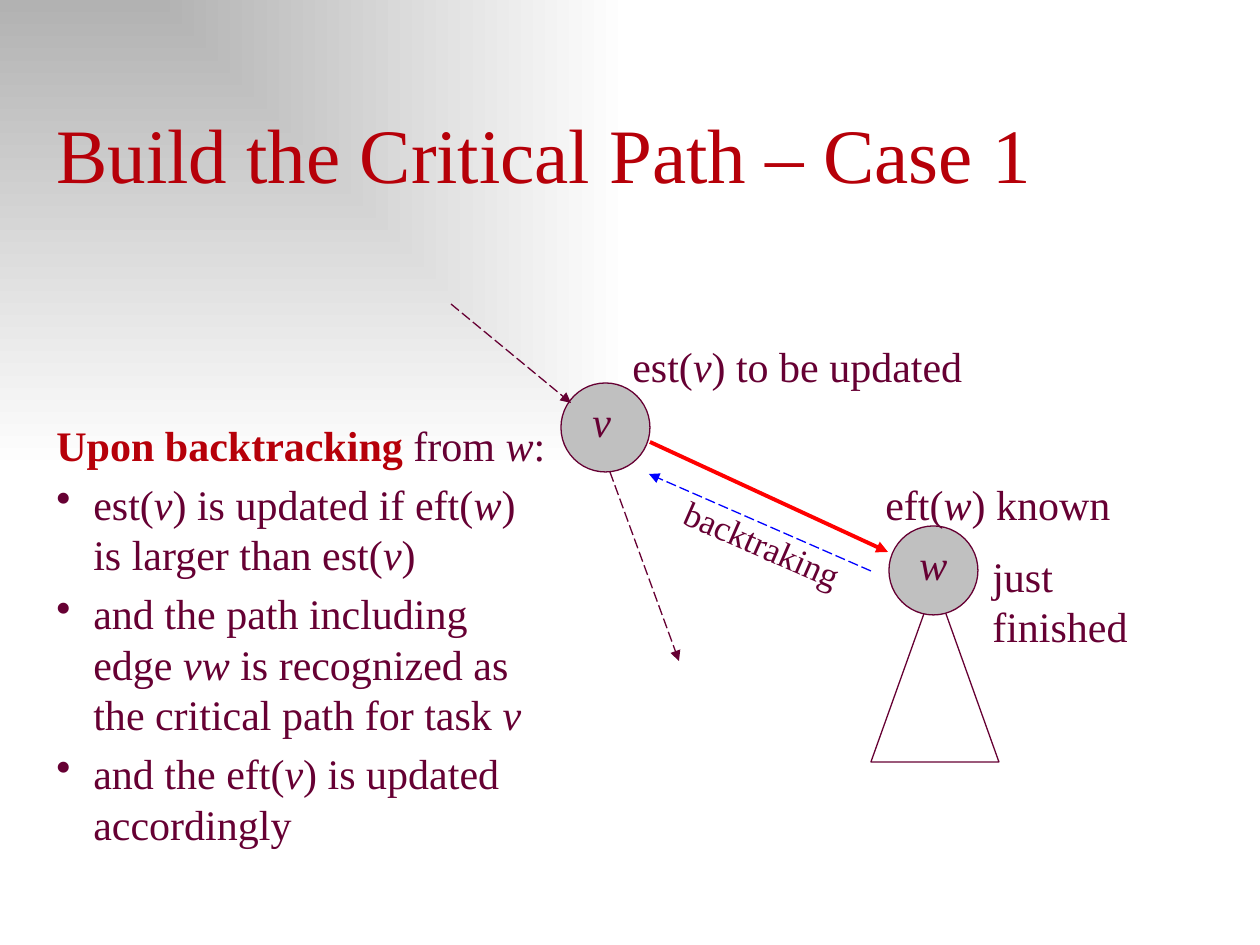
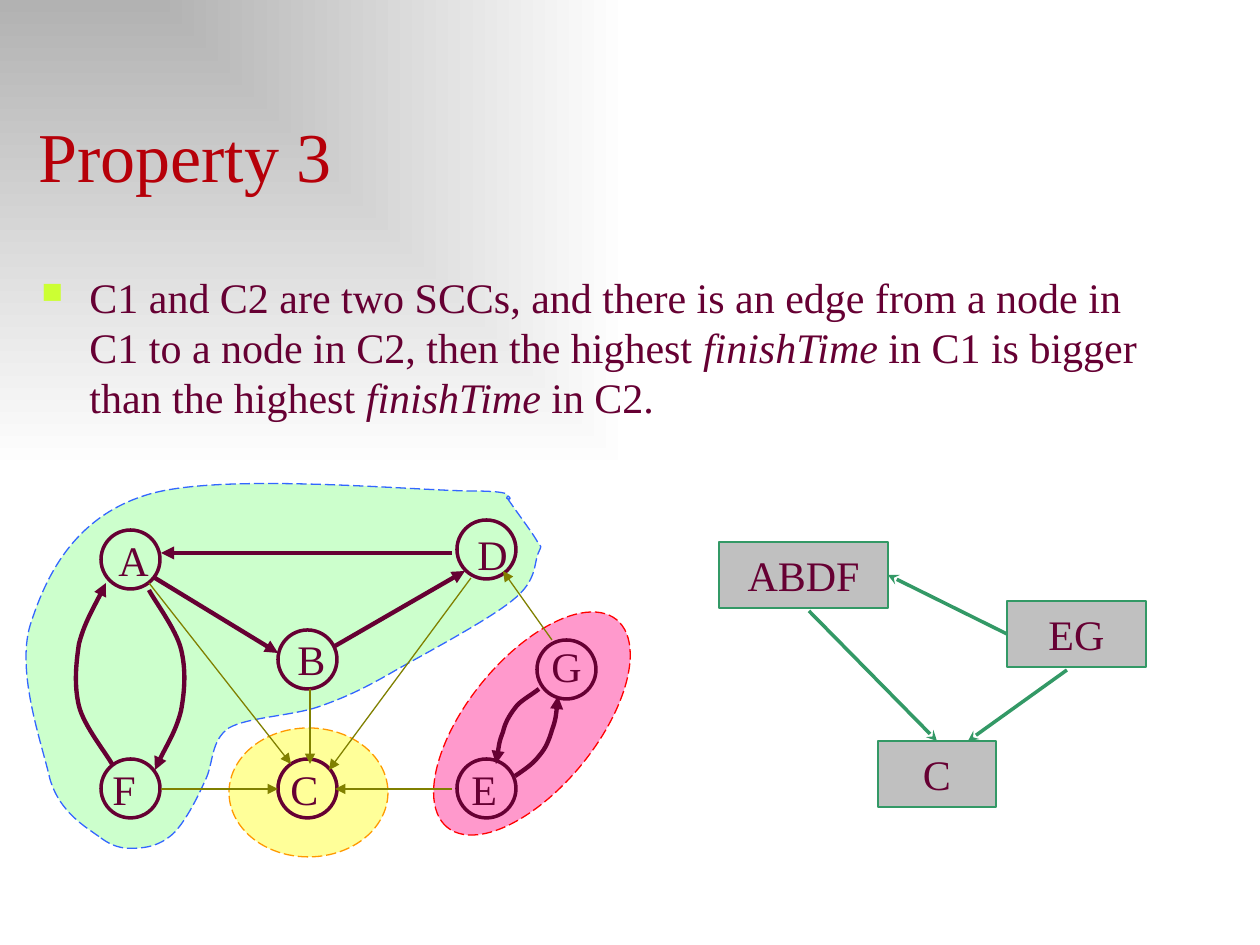
import lxml.etree
import pptx
import pptx.dml.color
import pptx.enum.dml
import pptx.enum.shapes
import pptx.enum.text
import pptx.oxml.ns
import pptx.util

px = 7257  # EMU per px, 126 px to the inch
qn = pptx.oxml.ns.qn
rgb = pptx.dml.color.RGBColor.from_string
shape_type = pptx.enum.shapes.MSO_SHAPE
straight = pptx.enum.shapes.MSO_CONNECTOR.STRAIGHT

PLUM, RED, GREY = "660033", "B60009", "C0C0C0"
OLIVE, GREEN = "808000", "339966"


def write_text(shape, text, size=24, color=PLUM):
    """Fill a shape with lines of text; asterisks enclose italic words."""
    frame = shape.text_frame
    frame.word_wrap = True
    for number, line in enumerate(text.split("\n")):
        paragraph = frame.add_paragraph() if number else frame.paragraphs[0]
        paragraph.space_before = pptx.util.Pt(5 if number else 0)
        for position, part in enumerate(line.split("*")):
            if part:
                run = paragraph.add_run()
                run.text = part
                run.font.name = "Times New Roman"
                run.font.size = pptx.util.Pt(size)
                run.font.italic = position % 2 == 1
                run.font.color.rgb = rgb(color)


def paint(shape, line, width=0.75, fill=None, dashed=False, arrow=None):
    """Set outline, fill and arrowhead, and switch the shadow off."""
    shape.line.color.rgb = rgb(line)
    shape.line.width = pptx.util.Pt(width)
    if dashed:
        shape.line.dash_style = pptx.enum.dml.MSO_LINE.LONG_DASH
    if fill:
        shape.fill.solid()
        shape.fill.fore_color.rgb = rgb(fill)
    elif hasattr(shape, "fill"):
        shape.fill.background()
    properties = shape.element.spPr
    if arrow:
        lxml.etree.SubElement(properties.find(qn("a:ln")), qn("a:tailEnd"), type=arrow)
    lxml.etree.SubElement(properties, qn("a:effectLst"))


presentation = pptx.Presentation()
presentation.slide_width = pptx.util.Inches(10)
presentation.slide_height = pptx.util.Inches(7.5)

# Shared background: grey in the top left corner, fading to white
master = presentation.slide_master
background = master.background.fill
background.gradient()
for stop, color in zip(background.gradient_stops, ("B2B2B2", "FFFFFF")):
    stop.color.rgb = rgb(color)
gradient = master.element.find(".//" + qn("a:gradFill"))
gradient.remove(gradient.find(qn("a:lin")))
fade = lxml.etree.SubElement(gradient, qn("a:path"), path="rect")
lxml.etree.SubElement(fade, qn("a:fillToRect"), r="100000", b="100000")

# Slides with their titles
slides = []
for title, size, box in (
    ("Build the Critical Path – Case 1", 44, (44, 100, 1191, 105)),
    ("Property 3", 40, (26, 106, 1234, 97)),
):
    slide = presentation.slides.add_slide(presentation.slide_layouts[6])
    shape = slide.shapes.add_textbox(*[value * px for value in box])
    shape.text_frame.vertical_anchor = pptx.enum.text.MSO_ANCHOR.BOTTOM
    write_text(shape, title, size, RED)
    slides.append(slide)
case_slide, property_slide = slides

# Body texts
case_body = case_slide.shapes.add_textbox(44 * px, 413 * px, 515 * px, 450 * px)
write_text(
    case_body,
    "Upon backtracking from *w*:\n"
    "est(*v*) is updated if eft(*w*) is larger than est(*v*)\n"
    "and the path including edge *vw* is recognized as the critical path for task *v*\n"
    "and the eft(*v*) is updated accordingly",
)
lead = case_body.text_frame.paragraphs[0]
lead.runs[0].text = " from "
lead_in = lead.add_run()
lead_in.text = "Upon backtracking"
lead_in.font.name = "Times New Roman"
lead_in.font.size = pptx.util.Pt(24)
lead_in.font.bold = True
lead_in.font.color.rgb = rgb(RED)
lead.runs[0]._r.addprevious(lead_in._r)

property_body = property_slide.shapes.add_textbox(29 * px, 265 * px, 1131 * px, 567 * px)
write_text(
    property_body,
    "C1 and C2 are two SCCs, and there is an edge from a node in C1 to a node in C2, "
    "then the highest *finishTime* in C1 is bigger than the highest *finishTime* in C2.",
)

for body, indent, bullet, color, percent, first in (
    (case_body, 37, "•", PLUM, 100, 1),
    (property_body, 48, "■", "CCFF33", 70, 0),
):
    for number, paragraph in enumerate(body.text_frame.paragraphs):
        properties = paragraph._p.get_or_add_pPr()
        properties.set("marL", str(indent * px))
        properties.set("indent", str(-indent * px))
        if number >= first:
            bullet_color = lxml.etree.SubElement(properties, qn("a:buClr"))
            lxml.etree.SubElement(bullet_color, qn("a:srgbClr"), val=color)
            lxml.etree.SubElement(properties, qn("a:buSzPct"), val=str(percent * 1000))
            lxml.etree.SubElement(properties, qn("a:buChar"), char=bullet)

# Preset shapes: subtree and tasks, then the components E-G and C
for slide, kind, box, rotation, line, fill, dashed in (
    (case_slide, shape_type.ISOSCELES_TRIANGLE, (871, 583, 128, 179), 0, PLUM, None, False),
    (case_slide, shape_type.OVAL, (561, 383, 89, 89), 0, PLUM, GREY, False),
    (case_slide, shape_type.OVAL, (889, 526, 89, 89), 0, PLUM, GREY, False),
    (property_slide, shape_type.OVAL, (398, 659, 268, 129), 309.2, "FF0000", "FF99CC", True),
    (property_slide, shape_type.OVAL, (229, 728, 159, 129), 0, "FF9900", "FFFF99", True),
):
    shape = slide.shapes.add_shape(kind, *[value * px for value in box])
    shape.rotation = rotation
    paint(shape, line, fill=fill, dashed=dashed)

# Labels of the critical path diagram
for text, size, rotation, box in (
    ("*v*", 24, 0, (580, 389, 149, 63)),
    ("*w*", 24, 0, (907, 532, 149, 63)),
    ("just finished", 24, 0, (980, 544, 189, 113)),
    ("eft(*w*) known", 24, 0, (873, 472, 387, 63)),
    ("est(*v*) to be updated", 24, 0, (620, 334, 496, 63)),
    ("backtraking", 20, 23.7, (665, 528, 248, 54)),
):
    shape = case_slide.shapes.add_textbox(*[value * px for value in box])
    shape.rotation = rotation
    write_text(shape, text, size)

# Curves: start point, then three Bézier points for each segment
component_outline = [
    (101, 838), (116, 849), (127, 849), (140, 848), (152, 847), (164, 843), (175, 832),
    (186, 820), (197, 799), (205, 781), (214, 764), (210, 741), (229, 728),
    (248, 717), (294, 716), (321, 706), (349, 696), (367, 687), (398, 669),
    (430, 651), (490, 619), (513, 600), (537, 581), (534, 564), (538, 554),
    (542, 544), (542, 549), (537, 541), (532, 532), (513, 507), (508, 499),
    (503, 491), (515, 500), (508, 499), (501, 498), (527, 491), (467, 491),
    (408, 490), (223, 473), (150, 494), (77, 515), (48, 572), (32, 620),
    (14, 668), (42, 743), (50, 779), (60, 813), (86, 827), (101, 838),
]
f_to_a = [
    (112, 764), (106, 753), (84, 726), (79, 706), (74, 685),
    (76, 664), (79, 644), (84, 624), (100, 596), (106, 583),
]
a_to_f = [
    (149, 590), (154, 600), (176, 629), (181, 649), (186, 669),
    (185, 690), (181, 711), (176, 731), (160, 757), (155, 770),
]
g_to_e = [
    (539, 689), (530, 696), (520, 701), (515, 708), (509, 716),
    (505, 723), (503, 732), (499, 742), (498, 752), (496, 764),
]
e_to_g = [
    (515, 776), (524, 770), (533, 764), (539, 756), (546, 748),
    (549, 740), (552, 730), (556, 719), (557, 707), (558, 696),
]
for points in (component_outline, f_to_a, a_to_f, g_to_e, e_to_g):
    builder = property_slide.shapes.build_freeform(*points[0], scale=px)
    builder.add_line_segments(points[1:], close=False)
    shape = builder.convert_to_shape()
    outline = shape.element.find(".//" + qn("a:path"))
    segments = outline.findall(qn("a:lnTo"))
    for start in range(0, len(segments), 3):
        curve = lxml.etree.SubElement(outline, qn("a:cubicBezTo"))
        for segment in segments[start:start + 3]:
            curve.append(segment[0])
            outline.remove(segment)
    if points is component_outline:
        paint(shape, "3366FF", fill="CCFFCC", dashed=True)
    else:
        paint(shape, PLUM, 2.5, arrow="triangle")

# Graph nodes: circle corner, then label corner
for name, circle_x, circle_y, label_x, label_y in (
    ("A", 101, 530, 106, 528),
    ("B", 278, 630, 285, 627),
    ("C", 278, 759, 278, 757),
    ("D", 457, 520, 465, 522),
    ("E", 457, 759, 459, 757),
    ("F", 101, 759, 100, 757),
    ("G", 537, 640, 539, 634),
):
    circle = property_slide.shapes.add_shape(
        shape_type.OVAL, circle_x * px, circle_y * px, 59 * px, 59 * px)
    paint(circle, PLUM, 2)
    label = property_slide.shapes.add_textbox(label_x * px, label_y * px, 81 * px, 63 * px)
    write_text(label, name)

# Condensed graph
components = {}
for name, left, top, width in (
    ("ABDF", 719, 542, 169), ("C", 878, 741, 118), ("EG", 1007, 601, 139),
):
    shape = property_slide.shapes.add_shape(
        shape_type.RECTANGLE, left * px, top * px, width * px, 66 * px)
    paint(shape, GREEN, 1.5, GREY)
    write_text(shape, name)
    shape.text_frame.paragraphs[0].alignment = pptx.enum.text.PP_ALIGN.CENTER
    components[name] = shape

# Straight arrows of both slides
arrows = {}
for slide, line, width, dashed, arrow, ends in (
    (case_slide, PLUM, 0.75, True, "triangle", [(610, 472, 679, 661), (451, 304, 571, 403)]),
    (case_slide, "FF0000", 2.25, False, "triangle", [(650, 442, 888, 552)]),
    (case_slide, "0000FF", 0.75, True, "triangle", [(871, 571, 649, 474)]),
    (property_slide, PLUM, 2.5, False, "triangle",
     [(452, 553, 161, 553), (155, 578, 278, 653), (335, 646, 465, 571)]),
    (property_slide, OLIVE, 0.75, False, "triangle",
     [(310, 689, 310, 764), (471, 578, 329, 770), (161, 789, 278, 789),
      (452, 789, 335, 789), (552, 640, 503, 571), (149, 583, 291, 764)]),
    (property_slide, GREEN, 2, False, "stealth",
     [(1007, 632, 888, 572), (809, 611, 937, 741), (1067, 670, 968, 741)]),
):
    arrows[line] = []
    for end in ends:
        connector = slide.shapes.add_connector(straight, *[value * px for value in end])
        paint(connector, line, width, dashed=dashed, arrow=arrow)
        arrows[line].append(connector)

eg_to_abdf, abdf_to_c, eg_to_c = arrows[GREEN]
eg_to_abdf.begin_connect(components["EG"], 1)
eg_to_abdf.end_connect(components["ABDF"], 3)
abdf_to_c.end_connect(components["C"], 0)

presentation.save("out.pptx")
